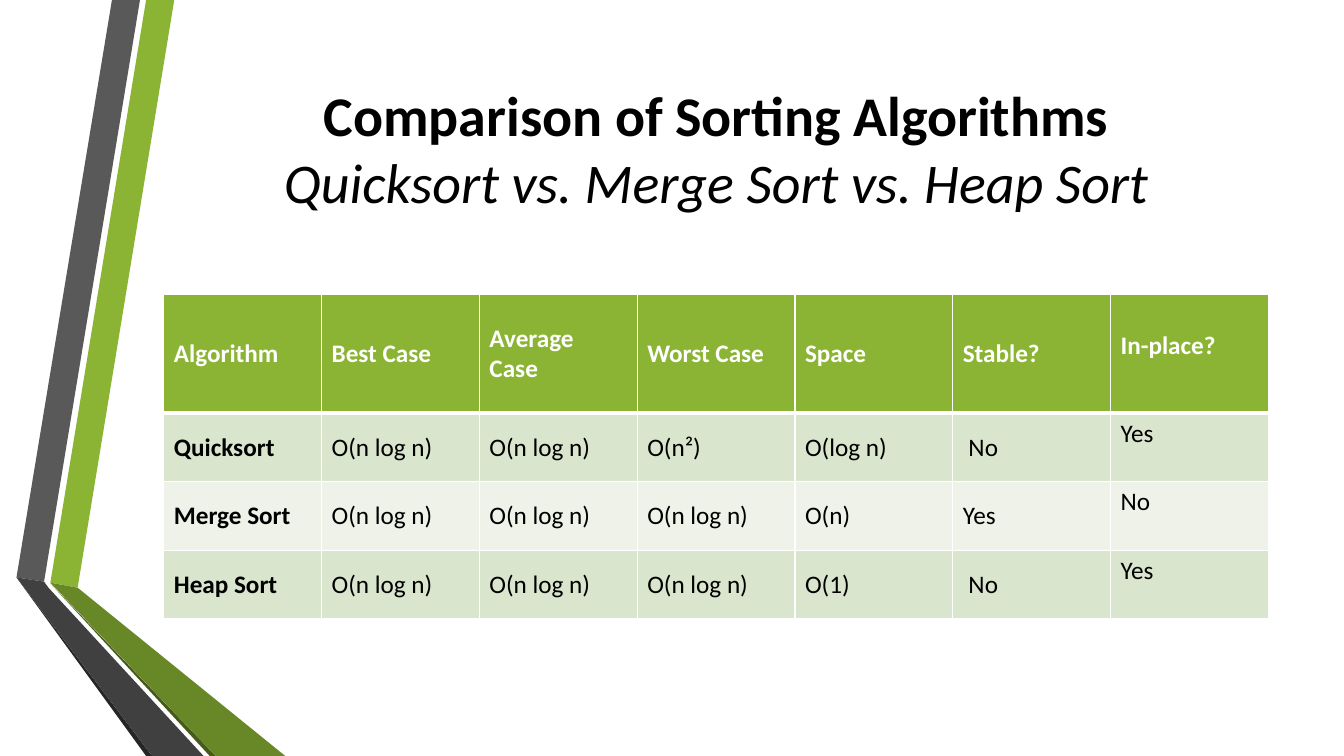
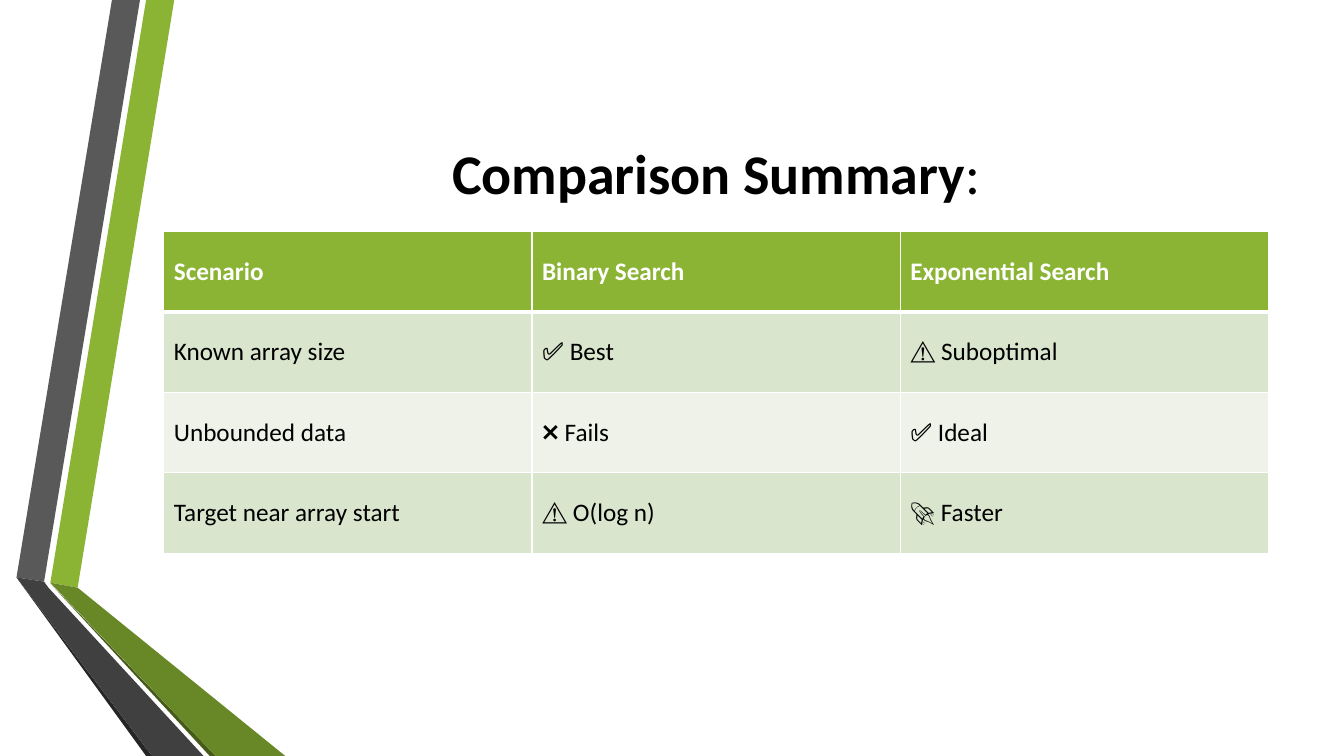
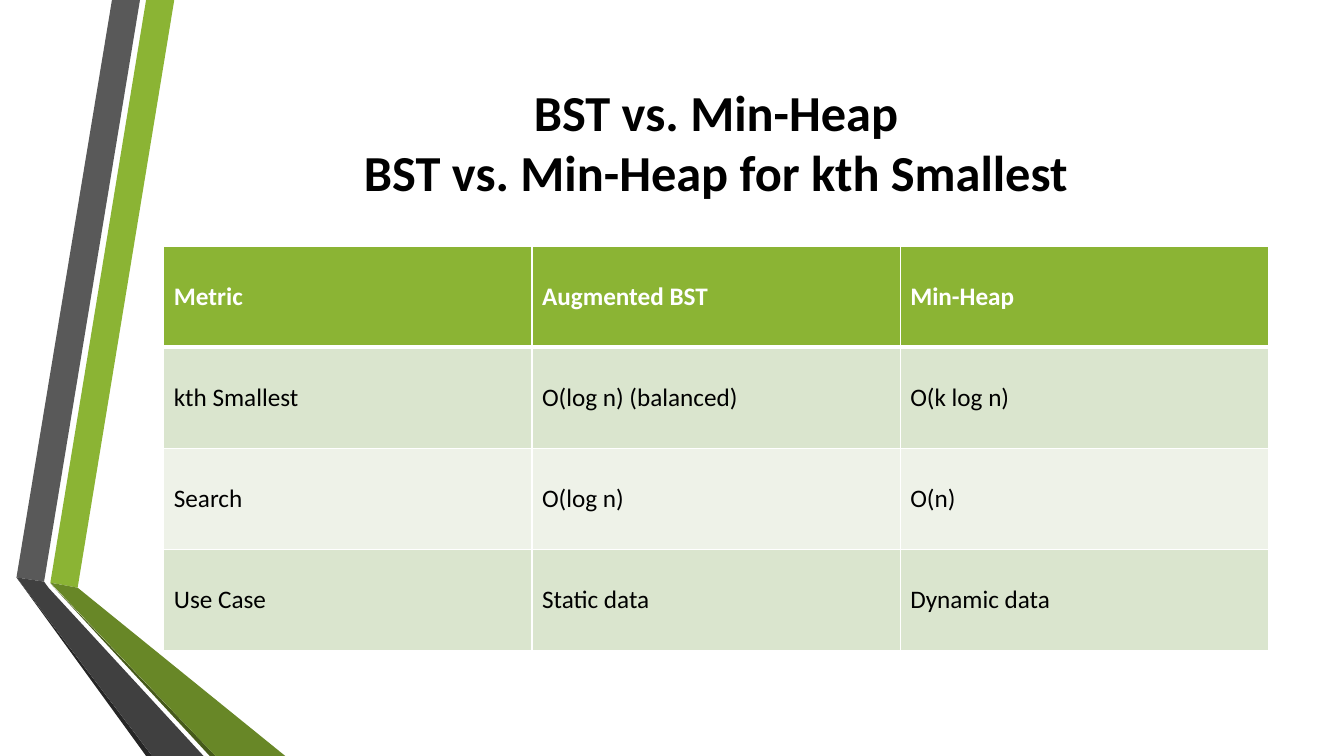
from lxml import etree
from pptx import Presentation
from pptx.dml.color import RGBColor
from pptx.enum import text as t
from pptx.oxml import ns
from pptx.util import Pt

# Shared style
FONT = "Calibri"
BLACK = RGBColor(0x00, 0x00, 0x00)
WHITE = RGBColor(0xFF, 0xFF, 0xFF)
GREEN = RGBColor(0x8B, 0xB4, 0x34)
GREEN_DARK = RGBColor(0x68, 0x87, 0x27)
GREEN_EDGE = RGBColor(0x46, 0x5A, 0x1A)
GREY = RGBColor(0x59, 0x59, 0x59)
GREY_DARK = RGBColor(0x40, 0x40, 0x40)
GREY_EDGE = RGBColor(0x26, 0x26, 0x26)
BAND_ODD = RGBColor(0xDA, 0xE5, 0xCE)
BAND_EVEN = RGBColor(0xEE, 0xF2, 0xE8)

SLIDE_WIDTH, SLIDE_HEIGHT = 960, 540
LEFT, WIDTH = 117, 789
TITLE_TOP = 54
TABLE_TEXT = 18
LINE_RATIO = 1.22  # line height of the font, relative to its size
INSET = 3.6

# Folded ribbons at the left edge, back to front
RIBBONS = [
    (GREEN, [(36, 416.2), (55.5, 419.8), (124.5, 0), (104.4, 0)]),
    (GREY, [(100, 0), (80, 0), (11.8, 412.5), (31.5, 415.5)]),
    (GREY_EDGE, [(11.8, 412.5), (104.4, 540), (108.7, 540)]),
    (GREEN_EDGE, [(36, 416.8), (149.8, 540), (154, 540)]),
    (GREEN_DARK, [(36, 416.2), (154, 540), (203.8, 540), (55.5, 419.8)]),
    (GREY_DARK, [(145.4, 540), (34.6, 419.8), (31.5, 415.5), (11.8, 412.5), (108.7, 540)]),
]

SLIDES = [
    dict(
        title=[[("Comparison of Sorting Algorithms", dict(bold=True))],
               [("Quicksort vs. Merge Sort vs. Heap Sort", dict(italic=True))]],
        title_size=40, title_height=201, lines_below=2,
        table_top=210.2, row_heights=[85, 49, 49, 49],
        bold_first_column=True, top_last_column=True,
        rows=[
            ["Algorithm", "Best Case", "Average Case", "Worst Case", "Space", "Stable?", "In-place?"],
            ["Quicksort", "O(n log n)", "O(n log n)", "O(n²)", "O(log n)", " No", "Yes"],
            ["Merge Sort", "O(n log n)", "O(n log n)", "O(n log n)", "O(n)", "Yes", "No"],
            ["Heap Sort", "O(n log n)", "O(n log n)", "O(n log n)", "O(1)", " No", "Yes"],
        ],
    ),
    dict(
        title=[[("Comparison Summary", dict(bold=True)), (":", {})]],
        title_size=40, title_height=138, lines_below=0,
        table_top=165.6, row_heights=[57.4] * 4,
        rows=[
            ["Scenario", "Binary Search", "Exponential Search"],
            ["Known array size", "✅ Best", "⚠️ Suboptimal"],
            ["Unbounded data", "❌ Fails", "✅ Ideal"],
            ["Target near array start", "⚠️ O(log n)", "🚀 Faster"],
        ],
    ),
    dict(
        title=[[("BST vs. Min-Heap", dict(bold=True))],
               [("BST vs. Min-Heap for kth Smallest", dict(bold=True))]],
        title_size=36, title_height=138, lines_below=1,
        table_top=175.7, row_heights=[72.3] * 4,
        rows=[
            ["Metric", "Augmented BST", "Min-Heap"],
            ["kth Smallest", "O(log n) (balanced)", "O(k log n)"],
            ["Search", "O(log n)", "O(n)"],
            ["Use Case", "Static data", "Dynamic data"],
        ],
    ),
]


def add_text(paragraph, text, size=TABLE_TEXT, color=BLACK, bold=False, italic=False):
    run = paragraph.add_run()
    run.text = text
    font = run.font
    font.name, font.size, font.bold, font.italic = FONT, Pt(size), bold, italic
    font.color.rgb = color


def move_ribbons_to_layout(slide):
    """Draw the ribbons and hand them to the layout that all slides share."""
    for color, points in RIBBONS:
        start, *others = [(Pt(x), Pt(y)) for x, y in points]
        builder = slide.shapes.build_freeform(*start)
        builder.add_line_segments(others, close=True)
        ribbon = builder.convert_to_shape()
        ribbon.shadow.inherit = False
        ribbon.fill.solid()
        ribbon.fill.fore_color.rgb = color
        ribbon.line.fill.background()
        slide.slide_layout.shapes.element.append(ribbon.element)


def fill_title(slide, lines, size, height, lines_below):
    title = slide.shapes.title
    title.left, title.top = Pt(LEFT), Pt(TITLE_TOP)
    title.width, title.height = Pt(WIDTH), Pt(height)
    frame = title.text_frame
    frame.word_wrap = True
    frame.auto_size = t.MSO_AUTO_SIZE.NONE
    frame.vertical_anchor = t.MSO_ANCHOR.MIDDLE
    frame.margin_top = Pt(INSET)
    frame.margin_bottom = Pt(INSET + lines_below * size * LINE_RATIO)
    paragraph = frame.paragraphs[0]
    paragraph.alignment = t.PP_ALIGN.CENTER
    paragraph.line_spacing = 1.0
    for index, line in enumerate(lines):
        if index:
            paragraph.add_line_break()
        for text, style in line:
            add_text(paragraph, text, size=size, **style)


def set_borders(cell, **widths):
    properties = cell._tc.get_or_add_tcPr()
    for side in "LRTB":
        line = etree.SubElement(properties, ns.qn(f"a:ln{side}"), w=str(Pt(widths.get(side, 1))))
        fill = etree.SubElement(line, ns.qn("a:solidFill"))
        etree.SubElement(fill, ns.qn("a:srgbClr"), val=str(WHITE))


def add_table(slide, rows, top, row_heights, bold_first_column=False, top_last_column=False):
    column_count = len(rows[0])
    table = slide.shapes.add_table(len(rows), column_count, Pt(LEFT), Pt(top),
                                   Pt(WIDTH), Pt(sum(row_heights))).table
    for column in table.columns:
        column.width = Pt(WIDTH / column_count)
    for r, (values, height) in enumerate(zip(rows, row_heights)):
        table.rows[r].height = Pt(height)
        header = r == 0
        for c, value in enumerate(values):
            cell = table.cell(r, c)
            # The heavy rule lies between the header and the first body row
            set_borders(cell, B=3 if header else 1, T=3 if r == 1 else 1)
            cell.fill.solid()
            cell.fill.fore_color.rgb = GREEN if header else BAND_ODD if r % 2 else BAND_EVEN
            at_top = top_last_column and c == column_count - 1
            cell.vertical_anchor = t.MSO_ANCHOR.TOP if at_top else t.MSO_ANCHOR.MIDDLE
            if at_top and header:
                cell.margin_top = Pt(INSET + TABLE_TEXT * LINE_RATIO)
            add_text(cell.text_frame.paragraphs[0], value,
                     color=WHITE if header else BLACK,
                     bold=header or (bold_first_column and c == 0))


def add_comparison_slide(presentation, layout, title, title_size, title_height, lines_below,
                         table_top, row_heights, rows, **table_options):
    slide = presentation.slides.add_slide(layout)
    fill_title(slide, title, title_size, title_height, lines_below)
    add_table(slide, rows, table_top, row_heights, **table_options)
    return slide


def main():
    presentation = Presentation()
    presentation.slide_width, presentation.slide_height = Pt(SLIDE_WIDTH), Pt(SLIDE_HEIGHT)
    layout = presentation.slide_layouts[5]  # title only
    slides = [add_comparison_slide(presentation, layout, **content) for content in SLIDES]
    move_ribbons_to_layout(slides[0])
    presentation.save("out.pptx")


if __name__ == "__main__":
    main()
